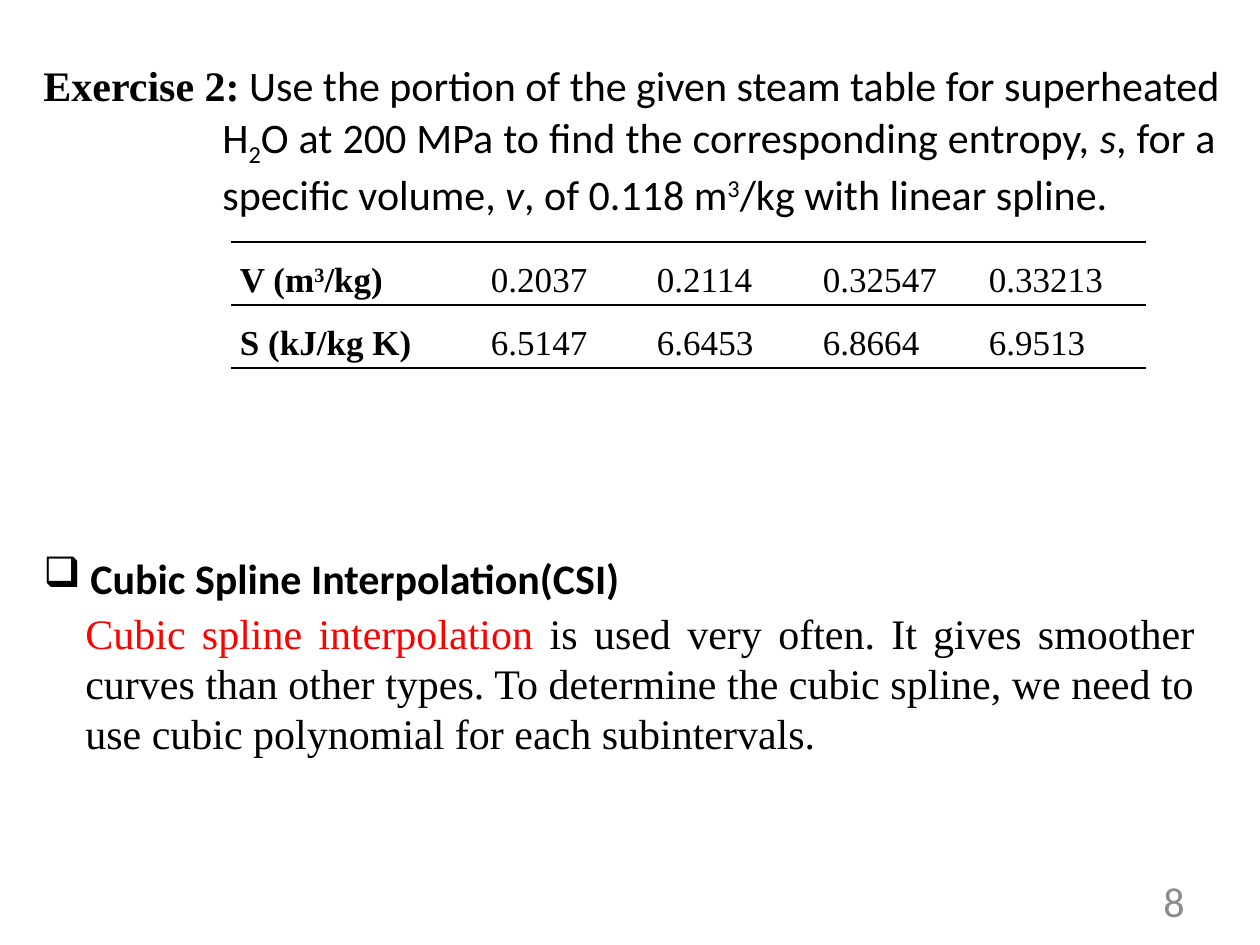
from lxml import etree
from pptx import Presentation
from pptx.dml.color import RGBColor
from pptx.enum.text import MSO_ANCHOR, PP_ALIGN
from pptx.oxml.ns import qn
from pptx.util import Emu, Pt

LEFT, RIGHT, JUST = PP_ALIGN.LEFT, PP_ALIGN.RIGHT, PP_ALIGN.JUSTIFY
TOP, MIDDLE = MSO_ANCHOR.TOP, MSO_ANCHOR.MIDDLE
SANS, SERIF = "Calibri", "Times New Roman"
BLACK, RED, GRAY = "000000", "FF0000", "8C8C8C"
SUB, SUPER = -25000, 30000


def px(n):
    return Emu(round(n * 914400 / 126))


def color(code):
    return RGBColor.from_string(code)


class Deck:
    def __init__(self, wide, high):
        self.prs = Presentation()
        self.prs.slide_width, self.prs.slide_height = px(wide), px(high)
        self.slide = self.prs.slides.add_slide(self.prs.slide_layouts[6])

    def fill(self, para, parts, face, size, tone=BLACK):
        """Each part is a text and a dict of what differs from the base style."""
        for text, look in parts:
            run = para.add_run()
            run.text = text
            font = run.font
            font.name = look.get("face", face)
            font.size = Pt(size)
            font.bold = look.get("bold", False)
            font.italic = look.get("italic", False)
            font.color.rgb = color(look.get("tone", tone))
            if "base" in look:
                run._r.get_or_add_rPr().set("baseline", str(look["base"]))

    def text(self, box, parts, face=SANS, tone=BLACK, align=JUST,
             anchor=TOP, bullet=None):
        frame = self.slide.shapes.add_textbox(*map(px, box)).text_frame
        frame.word_wrap = True
        frame.vertical_anchor = anchor
        para = frame.paragraphs[0]
        para.alignment = align
        if bullet:
            props = para._p.get_or_add_pPr()
            props.set("marL", str(px(47)))
            props.set("indent", str(-px(47)))
            etree.SubElement(props, qn("a:buChar")).set("char", bullet)
        self.fill(para, parts, face, 24, tone)

    def rule(self, cell):
        """Black lines above and below the cell, none at its sides."""
        props = cell._tc.get_or_add_tcPr()
        for spot, tag in enumerate(("a:lnL", "a:lnR", "a:lnT", "a:lnB")):
            line = etree.Element(qn(tag), w=str(Pt(1)))
            if tag in ("a:lnT", "a:lnB"):
                solid = etree.SubElement(line, qn("a:solidFill"))
                etree.SubElement(solid, qn("a:srgbClr")).set("val", BLACK)
            else:
                etree.SubElement(line, qn("a:noFill"))
            props.insert(spot, line)

    def table(self, left, top, widths, high, rows):
        table = self.slide.shapes.add_table(
            len(rows), len(widths), px(left), px(top),
            px(sum(widths)), px(high * len(rows))).table
        table.first_row = table.horz_banding = False
        for col, wide in zip(table.columns, widths):
            col.width = px(wide)
        for r, row in enumerate(rows):
            table.rows[r].height = px(high)
            for c, parts in enumerate(row):
                cell = table.cell(r, c)
                cell.fill.background()
                cell.margin_left = cell.margin_right = px(9)
                cell.margin_top = cell.margin_bottom = 0
                para = cell.text_frame.paragraphs[0]
                para.alignment = JUST
                para.line_spacing = 1.5
                self.fill(para, parts, SERIF, 20)
                self.rule(cell)


def main():
    deck = Deck(1260, 945)
    bold, slant = {"bold": True}, {"italic": True}

    # Page number
    deck.text((1113, 876, 84, 50), [("8", {})], tone=GRAY, align=RIGHT,
              anchor=MIDDLE)

    # Exercise
    deck.text((31, 53, 1229, 63), [
        ("Exercise 2:", {"face": SERIF, "bold": True}),
        (" Use the portion of the given steam table for superheated ", {})])
    deck.text((210, 105, 1018, 115), [
        ("H", {}), ("2", {"base": SUB}),
        ("O at 200 MPa to find the corresponding entropy, ", {}),
        ("s", slant), (", for a specific volume, ", {}), ("v", slant),
        (", of 0.118 m", {}), ("3", {"base": SUPER}),
        ("/kg with linear spline.", {})])

    # Steam table
    heads = [
        [("V (m", bold), ("3", {"bold": True, "base": SUPER}), ("/kg)", bold)],
        [("S (kJ/kg K)", bold)]]
    values = [("0.2037", "0.2114", "0.32547", "0.33213"),
              ("6.5147", "6.6453", "6.8664", "6.9513")]
    rows = [[head] + [[(value, {})] for value in line]
            for head, line in zip(heads, values)]
    deck.table(231, 242, [251] + [166] * 4, 63, rows)

    # Cubic spline
    deck.text((31, 546, 609, 63), [("Cubic Spline Interpolation(CSI)", bold)],
              align=LEFT, bullet="❑")
    deck.text((73, 601, 1134, 165), [
        ("Cubic spline interpolation ", {"tone": RED}),
        ("is used very often. It gives smoother curves than other types. "
         "To determine the cubic spline, we need to use cubic polynomial "
         "for each subintervals.", {})], face=SERIF)

    deck.prs.save("out.pptx")


if __name__ == "__main__":
    main()
